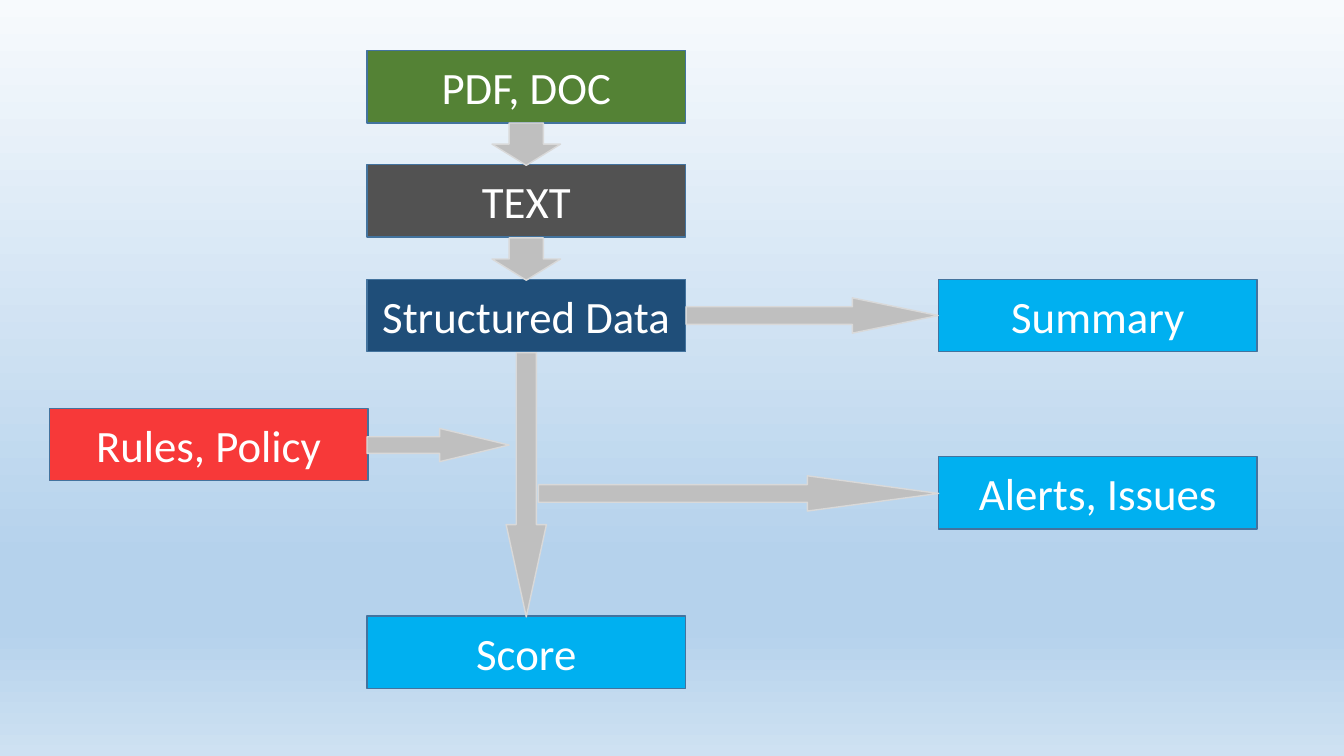
import copy

import pptx
import pptx.dml.color
import pptx.enum.shapes
import pptx.enum.text
import pptx.oxml.ns
import pptx.util

Inches = pptx.util.Inches
Pt = pptx.util.Pt
Shape = pptx.enum.shapes.MSO_SHAPE
qn = pptx.oxml.ns.qn

COLORS = {
    "source": "548235",
    "text": "525252",
    "data": "1F4E79",
    "output": "00B0F0",
    "rules": "F73939",
    "box_line": "43739E",
    "arrow": "BFBFBF",
    "arrow_line": "D9D9D9",
    "label": "FFFFFF",
}
BACKGROUND_STOPS = [(0, "F7FAFD"), (74, "B5D2EC"), (83, "B5D2EC"), (100, "CEE1F2")]
LEFT_X, MIDDLE_X, RIGHT_X = 0.49, 3.64, 9.31
BOX_WIDTH, BOX_HEIGHT = 3.16, 0.72


def rgb(name):
    return pptx.dml.color.RGBColor.from_string(COLORS[name])


def write_text(frame, text, size=32, font="Calibri", color="label"):
    frame.word_wrap = True
    frame.vertical_anchor = pptx.enum.text.MSO_ANCHOR.MIDDLE
    paragraph = frame.paragraphs[0]
    paragraph.alignment = pptx.enum.text.PP_ALIGN.CENTER
    run = paragraph.add_run()
    run.text = text
    run.font.size = Pt(size)
    run.font.name = font
    run.font.color.rgb = rgb(color)


class FlowSlide:
    def __init__(self, slide):
        self.slide = slide

    def background(self, stops):
        """Fill the slide with a gradient running from top to bottom."""
        fill = self.slide.background.fill
        fill.gradient()
        fill.gradient_angle = 270
        stop_list = self.slide.element.find(".//" + qn("a:gsLst"))
        template = copy.deepcopy(stop_list[0])
        for old_stop in list(stop_list):
            stop_list.remove(old_stop)
        for position, color in stops:
            stop = copy.deepcopy(template)
            stop.set("pos", str(position * 1000))
            for old_color in list(stop):
                stop.remove(old_color)
            stop.append(stop.makeelement(qn("a:srgbClr"), {"val": color}))
            stop_list.append(stop)

    def outlined(self, kind, left, top, width, height, fill, line):
        shape = self.slide.shapes.add_shape(
            kind, Inches(left), Inches(top), Inches(width), Inches(height))
        shape.shadow.inherit = False
        shape.fill.solid()
        shape.fill.fore_color.rgb = rgb(fill)
        shape.line.color.rgb = rgb(line)
        shape.line.width = Pt(1)
        return shape

    def box(self, text, left, top, fill):
        box = self.outlined(Shape.RECTANGLE, left, top, BOX_WIDTH, BOX_HEIGHT,
                            fill, "box_line")
        write_text(box.text_frame, text)

    def arrow(self, left, top, width, length, head=0.5, rotation=0):
        """Draw a down arrow; head is the head length relative to the width."""
        arrow = self.outlined(Shape.DOWN_ARROW, left, top, width, length,
                              "arrow", "arrow_line")
        arrow.adjustments[0] = 0.5
        arrow.adjustments[1] = head
        arrow.rotation = rotation


def main():
    deck = pptx.Presentation()
    deck.slide_width, deck.slide_height = Inches(13.33), Inches(7.5)
    flow = FlowSlide(deck.slides.add_slide(deck.slide_layouts[6]))
    flow.background(BACKGROUND_STOPS)

    for text, left, top, fill in [
        ("PDF, DOC", MIDDLE_X, 0.5, "source"),
        ("TEXT", MIDDLE_X, 1.63, "text"),
        ("Structured Data", MIDDLE_X, 2.77, "data"),
        ("Summary", RIGHT_X, 2.77, "output"),
        ("Score", MIDDLE_X, 6.11, "output"),
        ("Rules, Policy", LEFT_X, 4.05, "rules"),
        ("Alerts, Issues", RIGHT_X, 4.53, "output"),
    ]:
        flow.box(text, left, top, fill)

    for top in (1.22, 2.36):
        flow.arrow(4.88, top, 0.68, 0.42)
    flow.arrow(5.02, 3.5, 0.4, 2.62, head=2.29)
    for left, top, width, length, head in [
        (7.15, 2.91, 0.35, 3.97, 3.72),  # to Alerts, Issues
        (4.18, 3.71, 0.33, 1.41, 2.09),  # from Rules, Policy
        (7.88, 1.88, 0.35, 2.5, 2.43),   # to Summary
    ]:
        flow.arrow(left, top, width, length, head, rotation=270)

    deck.save("out.pptx")


if __name__ == "__main__":
    main()
